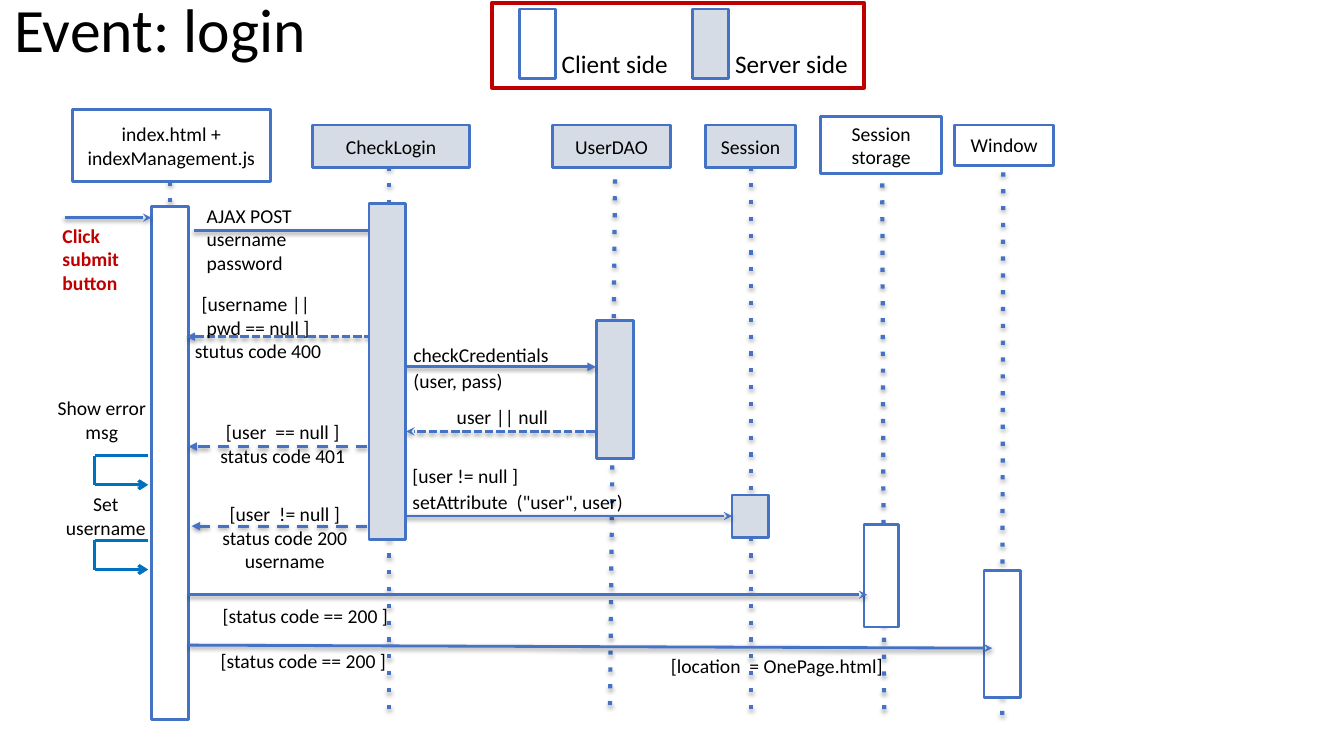
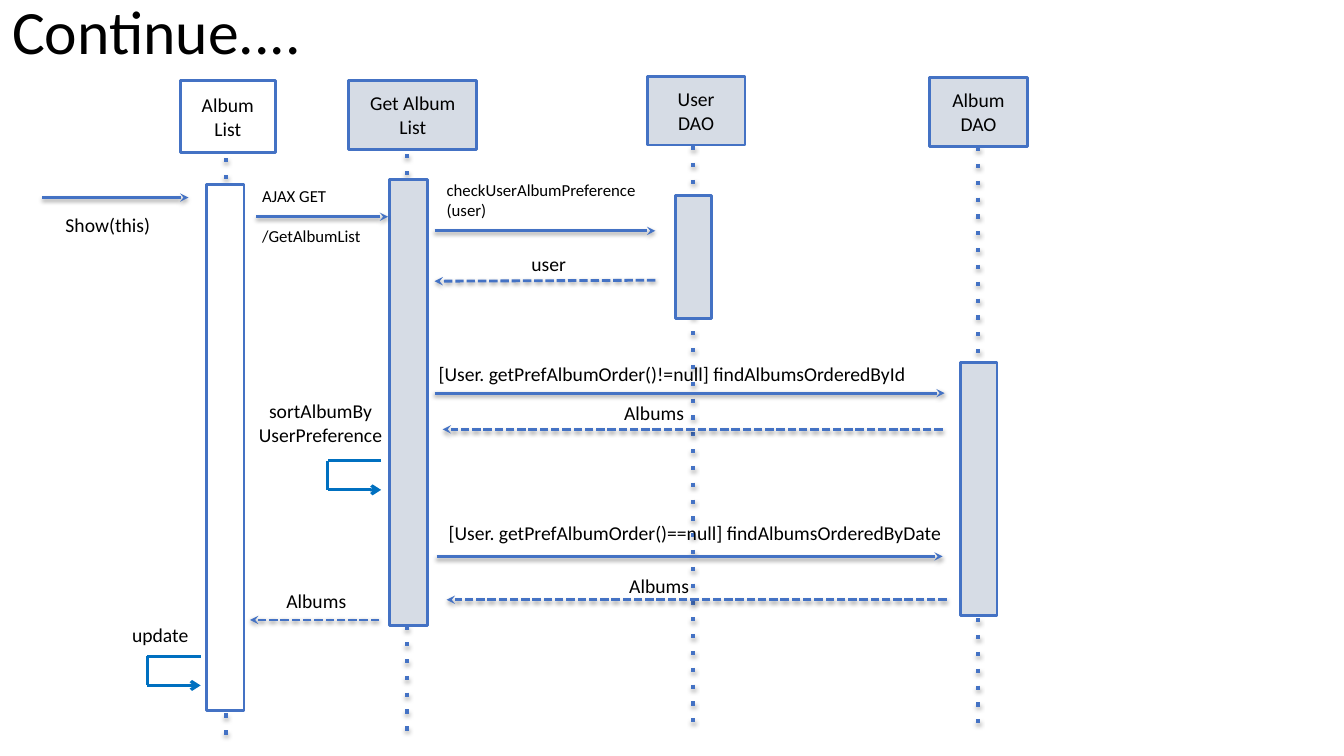
"""Build two sequence-diagram slides for the login event."""
from dataclasses import dataclass
from typing import Optional

from lxml import etree
from pptx import Presentation
from pptx import util as u
from pptx.dml.color import RGBColor
from pptx.enum import shapes, text
from pptx.oxml.ns import qn

COLUMNS, ROWS = 13.33, 7.5
CELL = u.Inches(1)
FONT = "Calibri"
BLACK = RGBColor(0x00, 0x00, 0x00)
WHITE = RGBColor(0xFF, 0xFF, 0xFF)
BLUE = RGBColor(0x44, 0x72, 0xC4)
LOOP_BLUE = RGBColor(0x00, 0x70, 0xC0)
SERVER_GREY = RGBColor(0xD6, 0xDC, 0xE5)
RED = RGBColor(0xC0, 0x00, 0x00)
LOOP_WIDTH, LOOP_HEIGHT = 0.53, 0.29

Area = tuple[float, float, float, float]
Point = tuple[float, float]


@dataclass(frozen=True)
class Shadow:
    alpha: int
    distance: float


AXIS_SHADOW = Shadow(35, 1.8)
MESSAGE_SHADOW = Shadow(38, 1.6)


@dataclass(frozen=True)
class Participant:
    label: str
    header: Area
    axis_top: Point
    axis_bottom: Point
    bar: Area
    server: bool = True
    front: bool = False

    @property
    def fill(self) -> RGBColor:
        return SERVER_GREY if self.server else WHITE


@dataclass(frozen=True)
class Message:
    start: Point
    end: Point
    dash: str = "solid"
    head: str = "stealth"


@dataclass(frozen=True)
class Note:
    label: str
    area: Area
    centred: bool = False
    size: int = 14
    gap: float = 0
    colour: RGBColor = BLACK
    bold: bool = False


@dataclass(frozen=True)
class Diagram:
    title: str
    title_area: Area
    participants: list[Participant]
    messages: list[Message]
    loops: list[Point]
    notes: list[Note]


LOGIN = Diagram(
    "Event: login",
    (0.02, 0.06, 6.41, 0.52),
    [
        Participant("index.html + indexManagement.js", (0.72, 1.09, 1.96, 0.71),
                    (1.69, 1.8), (1.69, 6.64), (1.5, 2.05, 0.37, 5.09), server=False),
        Participant("CheckLogin", (3.1, 1.24, 1.56, 0.42),
                    (3.86, 1.65), (3.86, 7.03), (3.66, 2.02, 0.36, 3.33), front=True),
        Participant("UserDAO", (5.48, 1.24, 1.17, 0.42),
                    (6.1, 1.78), (6.05, 7.03), (5.92, 3.18, 0.36, 1.37)),
        Participant("Session", (7, 1.24, 0.89, 0.42),
                    (7.45, 1.65), (7.45, 7.13), (7.26, 4.91, 0.36, 0.42)),
        Participant("Session storage", (8.14, 1.16, 1.2, 0.56),
                    (8.75, 1.82), (8.77, 7.13), (8.57, 5.2, 0.34, 1.02), server=False),
        Participant("Window", (9.47, 1.24, 0.98, 0.4),
                    (9.95, 1.71), (9.94, 7.13), (9.76, 5.66, 0.36, 1.26), server=False),
    ],
    [
        Message((0.64, 2.16), (1.5, 2.16)),
        Message((1.92, 2.29), (3.84, 2.29)),
        Message((3.81, 3.34), (1.85, 3.34), "sysDash", "triangle"),
        Message((4.01, 3.64), (5.91, 3.64), head="triangle"),
        Message((5.9, 4.28), (4.03, 4.28), "sysDash"),
        Message((3.84, 4.43), (1.87, 4.43), "dash", "triangle"),
        Message((3.91, 5.12), (7.26, 5.12)),
        Message((3.84, 5.22), (1.9, 5.22), "dash", "triangle"),
        Message((1.87, 5.9), (8.6, 5.9)),
        Message((1.87, 6.4), (9.84, 6.43)),
    ],
    [(1.47, 4.52), (1.47, 5.36)],
    [
        Note("AJAX POST username password", (1.93, 1.96, 1.2, 0.68)),
        Note("Click\nsubmit\nbutton", (0.5, 2.16, 0.9, 1.08), colour=RED, bold=True),
        Note("[username || \vpwd == null ]\nstutus code 400",
             (1.75, 2.84, 1.62, 0.51), centred=True),
        Note("checkCredentials\n(user, pass)", (3.98, 3.34, 1.9, 0.53), gap=2),
        Note("user || null", (4.41, 3.96, 1.35, 0.4)),
        Note("Show error msg", (0.41, 3.87, 1.2, 0.61), centred=True),
        Note("[user  == null ]\nstatus code 401", (1.99, 4.11, 1.63, 0.51), centred=True),
        Note('[user != null ]\nsetAttribute  ("user", user)', (3.97, 4.54, 3.69, 0.63), gap=2),
        Note("Set username", (0.45, 4.82, 1.2, 0.61), centred=True),
        Note("[user  != null ]\nstatus code 200\nusername",
             (1.99, 4.92, 1.67, 0.71), centred=True),
        Note("[status code == 200 ]", (1.91, 5.93, 2.24, 0.37), centred=True),
        Note("[status code == 200 ]", (1.89, 6.38, 2.24, 0.37), centred=True),
        Note("[location  = OnePage.html]", (6.4, 6.43, 2.61, 0.33), centred=True),
    ],
)

ALBUMS = Diagram(
    "Continue....",
    (0, 0.02, 3.46, 0.64),
    [
        Participant("Album List", (1.79, 0.8, 0.94, 0.71),
                    (2.24, 1.57), (2.24, 7.33), (2.05, 1.83, 0.37, 5.22), server=False),
        Participant("Get Album List", (3.46, 0.8, 1.27, 0.68),
                    (4.04, 1.53), (4.04, 7.26), (3.86, 1.78, 0.38, 4.43)),
        Participant("User\nDAO", (6.42, 0.76, 0.97, 0.68),
                    (6.87, 1.45), (6.87, 7.26), (6.7, 1.94, 0.36, 1.22)),
        Participant("Album\nDAO", (9.22, 0.77, 0.97, 0.68),
                    (9.7, 1.46), (9.7, 7.26), (9.53, 3.6, 0.36, 2.51)),
    ],
    [
        Message((0.42, 1.96), (1.87, 1.96)),
        Message((2.54, 2.15), (3.85, 2.15)),
        Message((4.31, 2.29), (6.5, 2.29)),
        Message((6.5, 2.78), (4.31, 2.79), "sysDash"),
        Message((4.31, 3.9), (9.37, 3.9)),
        Message((9.35, 4.26), (4.39, 4.26), "sysDash"),
        Message((4.33, 5.52), (9.35, 5.52)),
        Message((9.39, 5.95), (4.43, 5.95), "sysDash"),
        Message((3.76, 6.15), (2.48, 6.15), "sysDash"),
    ],
    [(3.78, 4.57), (1.99, 6.51)],
    [
        Note("Show(this)", (0.53, 2.05, 1.34, 0.49)),
        Note("AJAX GET\n/GetAlbumList", (2.48, 1.78, 1.27, 0.71), size=12, gap=14.6),
        Note("checkUserAlbumPreference (user)", (4.31, 1.72, 2.2, 0.49), size=12),
        Note("user", (5.15, 2.44, 0.7, 0.32)),
        Note("[User. getPrefAlbumOrder()!=null] findAlbumsOrderedById", (4.23, 3.53, 5.13, 0.34)),
        Note("Albums", (6.07, 3.92, 0.92, 0.34)),
        Note("sortAlbumBy UserPreference", (2.38, 3.9, 1.6, 0.61), centred=True),
        Note("[User. getPrefAlbumOrder()==null] findAlbumsOrderedByDate", (4.33, 5.11, 5.3, 0.34)),
        Note("Albums", (6.12, 5.63, 0.92, 0.34)),
        Note("Albums", (2.72, 5.78, 0.92, 0.34)),
        Note("update", (1.19, 6.12, 0.9, 0.34)),
    ],
)


def cells(*values: float) -> list[int]:
    return [round(value * CELL) for value in values]


def write(frame, note: Note, anchor=text.MSO_ANCHOR.TOP, line_spacing: float = 1) -> None:
    frame.text = note.label
    frame.word_wrap = True
    frame.auto_size = text.MSO_AUTO_SIZE.NONE
    frame.vertical_anchor = anchor
    frame.margin_left = frame.margin_right = u.Inches(0.12)
    frame.margin_top = frame.margin_bottom = u.Inches(0.06)
    for paragraph in frame.paragraphs:
        paragraph.alignment = text.PP_ALIGN.CENTER if note.centred else text.PP_ALIGN.LEFT
        paragraph.line_spacing = line_spacing
        paragraph.space_before = u.Pt(0)
        paragraph.space_after = u.Pt(note.gap)
        font = paragraph.font
        font.name, font.size, font.bold = FONT, u.Pt(note.size), note.bold
        font.color.rgb = note.colour


def add_note(slide, note: Note) -> None:
    write(slide.shapes.add_textbox(*cells(*note.area)).text_frame, note)


def add_box(slide, area: Area, fill: Optional[RGBColor], line: RGBColor = BLUE,
            width: float = 2, label: str = "") -> None:
    shape = slide.shapes.add_shape(shapes.MSO_SHAPE.RECTANGLE, *cells(*area))
    shape.shadow.inherit = False
    if fill is None:
        shape.fill.background()
    else:
        shape.fill.solid()
        shape.fill.fore_color.rgb = fill
    shape.line.color.rgb = line
    shape.line.width = u.Pt(width)
    if label:
        write(shape.text_frame, Note(label, area, centred=True), text.MSO_ANCHOR.MIDDLE)


def add_line(slide, start: Point, end: Point, colour: RGBColor = BLUE, width: float = 2,
             dash: str = "solid", head: str = "none", shadow: Optional[Shadow] = None) -> None:
    connector = slide.shapes.add_connector(shapes.MSO_CONNECTOR.STRAIGHT, *cells(*start, *end))
    connector.line.color.rgb = colour
    connector.line.width = u.Pt(width)
    properties = connector._element.spPr
    outline = properties.find(qn("a:ln"))
    etree.SubElement(outline, qn("a:prstDash"), val=dash)
    etree.SubElement(outline, qn("a:tailEnd"), type=head)
    effects = etree.SubElement(properties, qn("a:effectLst"))
    if shadow:
        outer = etree.SubElement(effects, qn("a:outerShdw"), blurRad=str(u.Pt(3.1)),
                                 dist=str(u.Pt(shadow.distance)), dir="5400000",
                                 rotWithShape="0")
        tint = etree.SubElement(outer, qn("a:srgbClr"), val=str(BLACK))
        etree.SubElement(tint, qn("a:alpha"), val=str(shadow.alpha * 1000))


def add_loop(slide, start: Point) -> None:
    right, top = start
    left, bottom = right - LOOP_WIDTH, top + LOOP_HEIGHT
    corners = [(right, top), (left, top), (left, bottom), (right, bottom)]
    for begin, end, head in zip(corners, corners[1:], ("none", "none", "arrow")):
        add_line(slide, begin, end, LOOP_BLUE, 2.25, head=head)


def add_legend(slide) -> None:
    for left, fill, label in ((5.15, WHITE, "Client side"), (6.87, SERVER_GREY, "Server side")):
        add_box(slide, (left, 0.09, 0.36, 0.69), fill)
        add_note(slide, Note(label, (left + 0.3, 0.42, 1.45, 0.4), size=18))
    add_box(slide, (4.88, 0.03, 3.69, 0.84), None, RED, 3)


def add_bars(slide, participants: list[Participant], front: bool) -> None:
    for participant in participants:
        if participant.front == front:
            add_box(slide, participant.bar, participant.fill)


def add_diagram(presentation, diagram: Diagram):
    slide = presentation.slides.add_slide(presentation.slide_layouts[5])
    title = slide.shapes.title
    title.left, title.top, title.width, title.height = cells(*diagram.title_area)
    write(title.text_frame, Note(diagram.title, diagram.title_area, size=44),
          text.MSO_ANCHOR.MIDDLE, 0.9)
    for participant in diagram.participants:
        add_line(slide, participant.axis_top, participant.axis_bottom, width=3,
                 dash="dot", shadow=AXIS_SHADOW)
        add_box(slide, participant.header, participant.fill, label=participant.label)
    add_bars(slide, diagram.participants, front=False)
    for message in diagram.messages:
        add_line(slide, message.start, message.end, dash=message.dash,
                 head=message.head, shadow=MESSAGE_SHADOW)
    add_bars(slide, diagram.participants, front=True)
    for loop in diagram.loops:
        add_loop(slide, loop)
    for note in diagram.notes:
        add_note(slide, note)
    return slide


def main() -> None:
    presentation = Presentation()
    presentation.slide_width, presentation.slide_height = cells(COLUMNS, ROWS)
    add_legend(add_diagram(presentation, LOGIN))
    add_diagram(presentation, ALBUMS)
    presentation.save("out.pptx")


if __name__ == "__main__":
    main()
